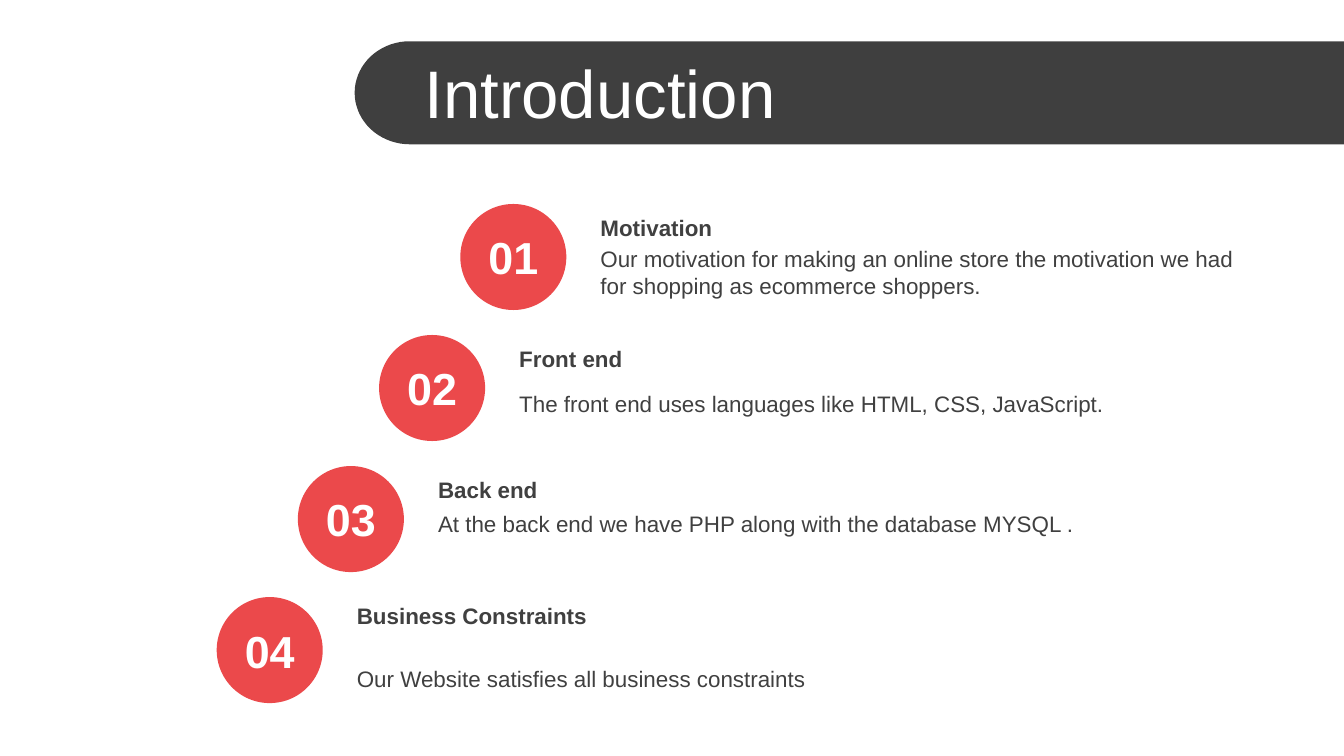
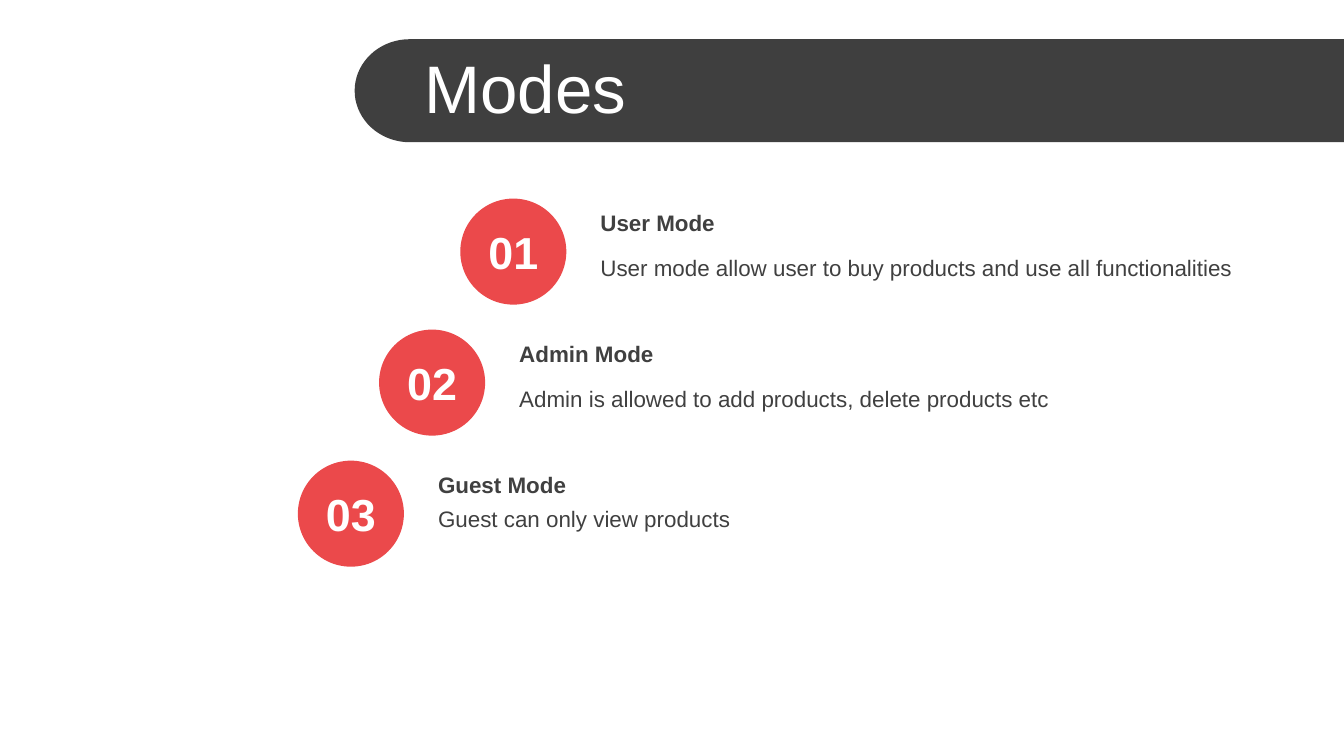
import math

import pptx
import pptx.dml.color
import pptx.enum.shapes
import pptx.enum.text
import pptx.util

Pt = pptx.util.Pt
ALIGN = pptx.enum.text.PP_ALIGN
FIT = pptx.enum.text.MSO_AUTO_SIZE

WIDE, HIGH = 720, 405
FONT = "Arial"
HUES = {"band": "3F3F3F", "dot": "EB494B", "text": "404040", "light": "FFFFFF"}

BAND_X, BAND_H, CURVE = 190, 55.2, 29.5
TITLE_X, TITLE_H = 220.3, 45.4
DOT = 56.8
DOT_X, STEP_X, STEP_Y = 246.6, -43.5, 70.2
ONE, TWO = 21.6, 36  # heights of boxes for one and two lines

# Each item: heading, its drop, body, its drop, body height
INTRO = [
    ("Motivation", 1.8,
     "Our motivation for making an online store the motivation we had "
     "for shopping as ecommerce shoppers.", 18.7, TWO),
    ("Front end", 1.8,
     "The front end uses languages like HTML, CSS, JavaScript.", 26, ONE),
    ("Back end", 1.8,
     "At the back end we have PHP along with the database MYSQL .", 13, TWO),
    ("Business Constraints", -0.8,
     "Our Website satisfies all business constraints", 33, ONE),
]
MODES = [
    ("User Mode", 1.8,
     "User mode allow user to buy products and use all functionalities", 26, ONE),
    ("Admin Mode", 1.8,
     "Admin is allowed to add products, delete products etc", 26, ONE),
    ("Guest Mode", 1.8, "Guest can only view products", 20.2, ONE),
]


def hue(name):
    return pptx.dml.color.RGBColor.from_string(HUES[name])


def paint(shape, name):
    shape.shadow.inherit = False
    shape.fill.solid()
    shape.fill.fore_color.rgb = hue(name)
    shape.line.fill.background()


def write(shape, text, size=12, color="text", bold=False, align=ALIGN.LEFT,
          fit=FIT.SHAPE_TO_FIT_TEXT):
    frame = shape.text_frame
    frame.word_wrap = True
    frame.auto_size = fit
    frame.vertical_anchor = pptx.enum.text.MSO_ANCHOR.MIDDLE
    para = frame.paragraphs[0]
    para.alignment = align
    run = para.add_run()
    run.text = text
    run.font.name = FONT
    run.font.size = Pt(size)
    run.font.bold = bold
    run.font.color.rgb = hue(color)


def add_text(shapes, box, text, **form):
    write(shapes.add_textbox(*map(Pt, box)), text, **form)


def add_band(slide, x, y, wide, high):
    """Draw a bar with a round left end that runs to the slide's edge."""
    mid = y + high / 2
    turns = [math.radians(90 + 5 * n) for n in range(37)]
    arc = [(x + CURVE * (1 + math.cos(t)), mid + high / 2 * math.sin(t))
           for t in turns]
    start, *rest = [(Pt(a), Pt(b)) for a, b in
                    [(x + wide, y), (x + wide, y + high)] + arc]
    pen = slide.shapes.build_freeform(*start)
    pen.add_line_segments(rest, close=True)
    paint(pen.convert_to_shape(), "band")


def add_title(slide, text, x, y, wide, high):
    title = slide.shapes.title
    slide.shapes.element.append(title.element)  # in front of the band
    title.left, title.top, title.width, title.height = map(Pt, (x, y, wide, high))
    write(title, text, size=36, color="light", fit=FIT.NONE)


def add_item(slide, x, y, num, item):
    head, rise, body, drop, tall = item
    dot = slide.shapes.add_shape(pptx.enum.shapes.MSO_SHAPE.OVAL,
                                 *map(Pt, (x, y, DOT, DOT)))
    paint(dot, "dot")
    left, wide = x + 68, 363
    group = slide.shapes.add_group_shape()
    add_text(group.shapes, (left, y + drop, wide, tall), body)
    add_text(group.shapes, (left, y + rise, wide, ONE), head, bold=True)
    add_text(slide.shapes, (x, y + (DOT - TWO) / 2, DOT, TWO), f"{num:02}",
             size=24, color="light", bold=True, align=ALIGN.CENTER)


def add_steps(deck, title, items, band_y, title_y, list_y):
    """Build a slide whose numbered items step down to the left."""
    slide = deck.slides.add_slide(deck.slide_layouts[5])
    add_band(slide, BAND_X, band_y, WIDE - BAND_X, BAND_H)
    add_title(slide, title, TITLE_X, title_y, WIDE - TITLE_X, TITLE_H)
    for i, item in enumerate(items):
        add_item(slide, DOT_X + i * STEP_X, list_y + i * STEP_Y, i + 1, item)


def main():
    deck = pptx.Presentation()
    deck.slide_width, deck.slide_height = Pt(WIDE), Pt(HIGH)
    add_steps(deck, "Introduction", INTRO, 22.1, 26.6, 109.3)
    add_steps(deck, "Modes", MODES, 21, 23.8, 106.4)
    deck.save("out.pptx")


if __name__ == "__main__":
    main()
